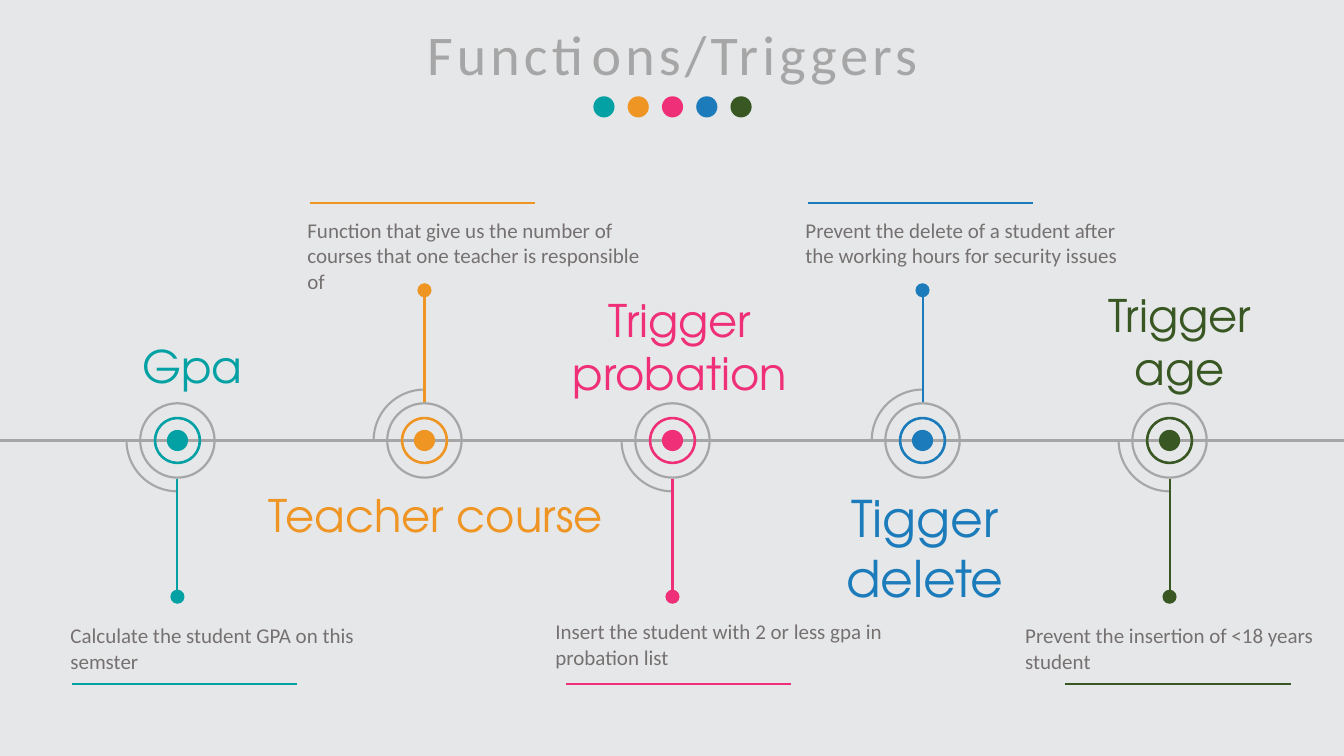
from dataclasses import dataclass
from itertools import pairwise

from lxml import etree
from pptx import Presentation
from pptx import util as u
from pptx.dml.color import RGBColor
from pptx.enum import shapes, text
from pptx.oxml import ns

GREY, BODY, BACK = "A6A6A6", "767171", "E6E7E9"
TITLE_FONT, BODY_FONT = "TeX Gyre Adventor", "Calibri"
AXIS_Y = 4.37
AXIS_STOPS = [0, 1.75, 4.28, 6.74, 9.2, 11.66, 13.33]


@dataclass
class Station:
    """One point on the timeline, with boxes as left, top, width, height."""

    x: float
    color: str
    up: bool
    title: list
    title_box: tuple
    size: int
    note: str
    note_box: tuple
    rule_x: float


STATIONS = [
    Station(1.76, "03A1A4", False, ["Gpa"], (-0.14, 3.31, 4.1, 0.64), 32,
            "Calculate the student GPA on this semster",
            (0.6, 6.13, 3.5, 0.61), 0.71),
    Station(4.21, "EE9524", True, ["Teacher course"], (2.56, 4.79, 3.53, 1.18), 32,
            "Function that give us the number of courses that one teacher is responsible of",
            (2.95, 2.11, 3.65, 0.61), 3.07),
    Station(6.67, "EF3078", False, ["Trigger", "probation"], (5.51, 2.85, 2.47, 1.18), 32,
            "Insert the student with 2 or less gpa in probation list",
            (5.41, 6.09, 3.5, 0.61), 5.61),
    Station(9.15, "1C7CBB", True, ["Tigger delete"], (8.28, 4.78, 1.79, 1.31), 36,
            "Prevent the delete of a student after the working hours for security issues",
            (7.89, 2.11, 3.5, 0.61), 8.01),
    Station(11.6, "385723", False, ["Trigger", "age"], (10.87, 2.8, 1.66, 1.18), 32,
            "Prevent the insertion of <18 years student",
            (10.07, 6.13, 3.46, 0.61), 10.56),
]


def rgb(value):
    """Turn a hex string into a colour."""
    return RGBColor.from_string(value)


def add_line(parent, x1, y1, x2, y2, color):
    """Draw a straight line without a shadow."""
    cn = parent.add_connector(shapes.MSO_CONNECTOR.STRAIGHT, *map(u.Inches, (x1, y1, x2, y2)))
    cn.line.color.rgb = rgb(color)
    cn.line.width = u.Pt(1.5)
    etree.SubElement(cn._element.spPr, ns.qn("a:effectLst"))


def add_round(parent, kind, x, y, size, adjustments=()):
    """Add a round shape centred on a point."""
    sp = parent.add_shape(kind, u.Inches(x - size / 2), u.Inches(y - size / 2),
                          u.Inches(size), u.Inches(size))
    sp.shadow.inherit = False
    for i, value in enumerate(adjustments):
        sp.adjustments[i] = value
    return sp


def add_disc(parent, x, y, size, color, ring=None):
    """Add a filled dot, or a donut when a ring thickness is given."""
    kind = shapes.MSO_SHAPE.DONUT if ring else shapes.MSO_SHAPE.OVAL
    sp = add_round(parent, kind, x, y, size, [ring] if ring else [])
    sp.fill.solid()
    sp.fill.fore_color.rgb = rgb(color)
    sp.line.fill.background()


def add_arc(parent, x, y, up):
    """Add the grey quarter arc on the side of the stem."""
    sp = add_round(parent, shapes.MSO_SHAPE.ARC, x, y, 1.01, [54.204, 108.533])
    sp.rotation = 90 if up else 0
    sp.fill.background()
    sp.line.color.rgb = rgb(GREY)
    sp.line.width = u.Pt(1.5)


def add_text(parent, box, lines, size, font, color, centred=True, spacing=0):
    """Add a wrapped text box with one paragraph per line."""
    tf = parent.add_textbox(*map(u.Inches, box)).text_frame
    tf.word_wrap = True
    tf.auto_size = text.MSO_AUTO_SIZE.SHAPE_TO_FIT_TEXT
    for i, line in enumerate(lines):
        p = tf.add_paragraph() if i else tf.paragraphs[0]
        p.alignment = text.PP_ALIGN.CENTER if centred else text.PP_ALIGN.LEFT
        r = p.add_run()
        r.text = line
        r.font.size = u.Pt(size)
        r.font.name = font
        r.font.color.rgb = rgb(color)
        if spacing:
            r.font._element.set("spc", str(spacing * 100))


def add_station(parent, st):
    """Draw the marker, stem, title, note and rule of a station."""
    side = -1 if st.up else 1
    add_arc(parent, st.x, AXIS_Y, st.up)
    add_disc(parent, st.x, AXIS_Y, 0.21, st.color)
    add_disc(parent, st.x, AXIS_Y, 0.47, st.color, 0.053)
    add_disc(parent, st.x, AXIS_Y, 0.76, GREY, 0.029)
    add_line(parent, st.x, AXIS_Y + side * 1.51, st.x, AXIS_Y + side * 0.38, st.color)
    add_disc(parent, st.x, 2.88 if st.up else 5.92, 0.14, st.color)
    add_text(parent, st.title_box, st.title, st.size, TITLE_FONT, st.color)
    add_text(parent, st.note_box, [st.note], 15, BODY_FONT, BODY, centred=False)
    rule_y = 2.01 if st.up else 6.79
    add_line(parent, st.rule_x, rule_y, st.rule_x + 2.24, rule_y, st.color)


def main():
    """Build the slide and save it."""
    prs = Presentation()
    prs.slide_width, prs.slide_height = u.Inches(13.33), u.Inches(7.5)
    s = prs.slides.add_slide(prs.slide_layouts[6])
    s.background.fill.solid()
    s.background.fill.fore_color.rgb = rgb(BACK)
    for start, end in pairwise(AXIS_STOPS):
        add_line(s.shapes, start, AXIS_Y, end, AXIS_Y, GREY)
    for st in STATIONS:
        add_station(s.shapes, st)
    add_text(s.shapes, (2.69, 0.14, 7.96, 0.77), ["Functions/Triggers"], 40,
             BODY_FONT, GREY, spacing=3)
    dots = s.shapes.add_group_shape()
    for i, st in enumerate(STATIONS):
        add_disc(dots.shapes, 5.99 + 0.34 * i, 1.06, 0.21, st.color)
    prs.save("out.pptx")


if __name__ == "__main__":
    main()
